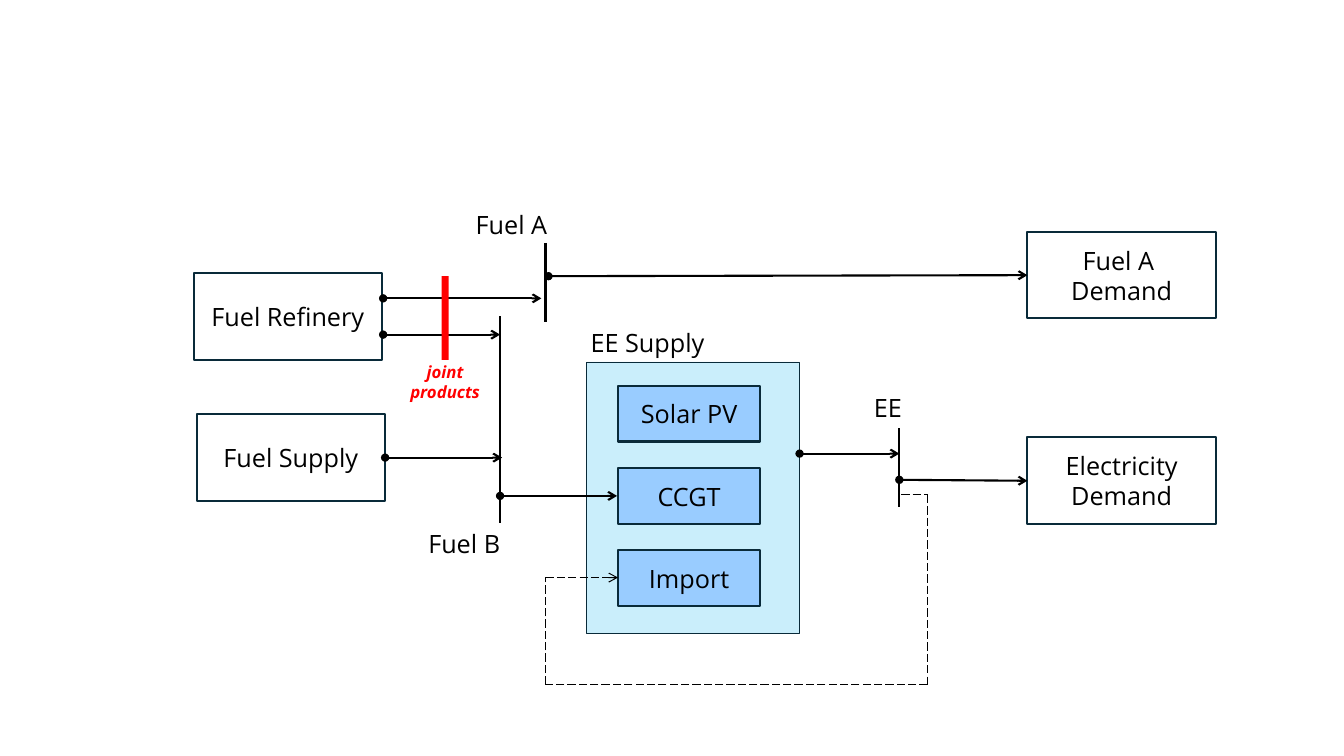
from dataclasses import dataclass
from itertools import pairwise

from lxml import etree
from pptx import Presentation
from pptx.dml.color import RGBColor
from pptx.enum.dml import MSO_LINE
from pptx.enum.shapes import MSO_CONNECTOR, MSO_SHAPE
from pptx.enum.text import MSO_ANCHOR, MSO_AUTO_SIZE, PP_ALIGN
from pptx.oxml.ns import qn
from pptx.util import Inches, Pt

RECTANGLE = MSO_SHAPE.RECTANGLE
STRAIGHT = MSO_CONNECTOR.STRAIGHT
LONG_DASH = MSO_LINE.LONG_DASH
MIDDLE = MSO_ANCHOR.MIDDLE
FIT_TEXT = MSO_AUTO_SIZE.SHAPE_TO_FIT_TEXT
LEFT, CENTER = PP_ALIGN.LEFT, PP_ALIGN.CENTER

FONT = "Open Sans"
COLORS = {
    "black": "000000",
    "white": "FFFFFF",
    "outline": "092A39",
    "panel": "CAEEFB",
    "unit": "99CCFF",
    "red": "FF0000",
}
PROCESS_SIZE = (1.87, 0.86)
UNIT_SIZE = (1.41, 0.55)
UNIT_STEP = 0.815


@dataclass
class Box:
    """A region of the slide, in inches."""
    left: float
    top: float
    width: float
    height: float

    def point(self, x, y):
        return self.left + x, self.top + y

    def inner(self, x, y, width, height):
        return Box(*self.point(x, y), width, height)

    def lengths(self):
        return [Inches(value) for value in (self.left, self.top, self.width, self.height)]


def color(name):
    return RGBColor.from_string(COLORS[name])


def write(shape, text, align, size=18, ink="black", emphasis=False):
    paragraph = shape.text_frame.paragraphs[0]
    paragraph.alignment = align
    for index, words in enumerate(text.split("\n")):
        if index:
            paragraph.add_line_break()
        run = paragraph.add_run()
        run.text = words
        run.font.name = FONT
        run.font.size = Pt(size)
        run.font.color.rgb = color(ink)
        if emphasis:
            run.font.bold = run.font.italic = True


def add_rectangle(slide, box, fill, line_width=1.5, text=None):
    shape = slide.shapes.add_shape(RECTANGLE, *box.lengths())
    shape.shadow.inherit = False
    shape.fill.solid()
    shape.fill.fore_color.rgb = color(fill)
    if line_width:
        shape.line.color.rgb = color("outline")
        shape.line.width = Pt(line_width)
    else:
        shape.line.fill.background()
    if text:
        shape.text_frame.word_wrap = True
        shape.text_frame.vertical_anchor = MIDDLE
        write(shape, text, CENTER)


def add_label(slide, box, text, align=LEFT, **style):
    shape = slide.shapes.add_textbox(*box.lengths())
    shape.text_frame.word_wrap = True
    shape.text_frame.auto_size = FIT_TEXT
    write(shape, text, align, **style)


def add_line(slide, start, end, head=None, tail=None, width=1.5, dash=None):
    """Draw a line with optional markers at its start (head) and end (tail)."""
    ends = [Inches(value) for value in (*start, *end)]
    connector = slide.shapes.add_connector(STRAIGHT, *ends)
    connector.line.color.rgb = color("black")
    connector.line.width = Pt(width)
    if dash:
        connector.line.dash_style = dash
    properties = connector._element.spPr
    outline = properties.find(qn("a:ln"))
    for tag, marker in (("a:headEnd", head), ("a:tailEnd", tail)):
        if marker:
            etree.SubElement(outline, qn(tag)).set("type", marker)
    etree.SubElement(properties, qn("a:effectLst"))


def add_flow(slide, start, end):
    add_line(slide, start, end, head="oval", tail="arrow")


def add_bus(slide, top_point, height, name, label_box):
    """Draw the vertical bar of one energy carrier and its name."""
    x, top = top_point
    add_line(slide, top_point, (x, top + height))
    add_label(slide, label_box, name)


def draw_fuel_sources(slide, box):
    add_rectangle(slide, box.inner(0, 0.68, *PROCESS_SIZE), "white", text="Fuel Refinery")
    add_rectangle(slide, box.inner(0.03, 2.08, *PROCESS_SIZE), "white", text="Fuel Supply")
    add_bus(slide, box.point(3.49, 0.38), 0.78, "Fuel A", box.inner(2.7, 0, 1.57, 0.4))
    add_bus(slide, box.point(3.04, 1.11), 2.05, "Fuel B", box.inner(2.23, 3.16, 1.57, 0.4))
    for start_x, end_x, y in ((1.88, 3.45, 0.93), (1.88, 3.04, 1.29), (1.9, 3.06, 2.51)):
        add_flow(slide, box.point(start_x, y), box.point(end_x, y))
    add_rectangle(slide, box.inner(2.46, 0.71, 0.07, 0.83), "red", line_width=0)
    add_label(slide, box.inner(1.96, 1.51, 1.07, 0.5), "joint products", CENTER,
              size=12, ink="red", emphasis=True)


def draw_electricity_supply(slide, box):
    add_rectangle(slide, box, "panel", line_width=0.5)
    add_label(slide, box.inner(-0.06, -0.39, 1.57, 0.4), "EE Supply")
    for index, unit in enumerate(("Solar PV", "CCGT", "Import")):
        unit_box = box.inner(0.31, 0.24 + index * UNIT_STEP, *UNIT_SIZE)
        add_rectangle(slide, unit_box, "unit", text=unit)
    add_flow(slide, box.point(-0.86, 1.33), box.point(0.3, 1.33))


def draw_electricity_bus(slide, box):
    add_bus(slide, box.point(0.99, 0.41), 0.78, "EE", box.inner(0.64, 0, 0.7, 0.4))
    add_flow(slide, box.point(0, 0.66), box.point(0.99, 0.66))


def draw_demands(slide, box):
    for y, name in ((0, "Fuel A \nDemand"), (2.04, "Electricity\nDemand")):
        add_rectangle(slide, box.inner(0, y, *PROCESS_SIZE), "white", text=name)
    add_flow(slide, box.point(-4.75, 0.44), box.point(0, 0.43))
    add_flow(slide, box.point(-1.27, 2.46), box.point(0, 2.47))


def draw_import_loop(slide, box):
    """Draw the dashed return line from the EE bus to the import unit."""
    right, bottom = box.width, box.height
    corners = [(3.53, 0), (right, 0), (right, bottom), (0, bottom), (0, 0.82), (0.72, 0.82)]
    segments = list(pairwise(box.point(*corner) for corner in corners))
    for start, end in segments:
        tail = "arrow" if (start, end) == segments[-1] else None
        add_line(slide, start, end, tail=tail, width=0.75, dash=LONG_DASH)


def main():
    presentation = Presentation()
    presentation.slide_width = Inches(13.33)
    presentation.slide_height = Inches(7.5)
    slide = presentation.slides.add_slide(presentation.slide_layouts[6])
    draw_electricity_supply(slide, Box(5.82, 3.59, 2.11, 2.69))
    draw_fuel_sources(slide, Box(1.92, 2.03, 4.27, 3.56))
    draw_electricity_bus(slide, Box(7.93, 3.84, 1.34, 1.19))
    draw_demands(slide, Box(10.19, 2.3, 1.87, 2.9))
    draw_import_loop(slide, Box(5.41, 4.91, 3.79, 1.88))
    presentation.save("out.pptx")


if __name__ == "__main__":
    main()
